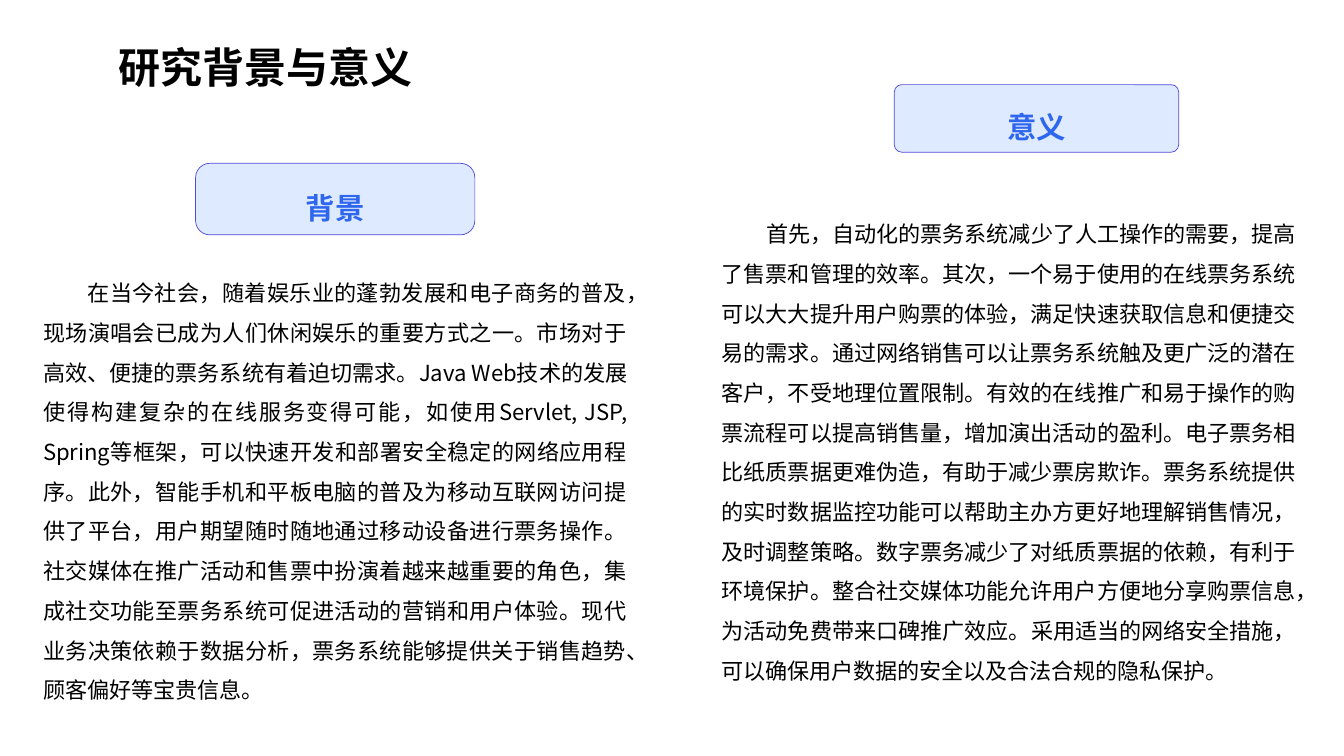
from dataclasses import dataclass

import pptx
import pptx.dml.color
import pptx.enum.shapes
import pptx.enum.text
import pptx.oxml.ns
import pptx.shapes.autoshape
import pptx.slide
import pptx.util
from pptx.util import Inches

RGBColor = pptx.dml.color.RGBColor
Align = pptx.enum.text.PP_ALIGN

BLACK = RGBColor(0x00, 0x00, 0x00)
BLUE = RGBColor(0x2F, 0x66, 0xEE)
PALE_BLUE = RGBColor(0xDE, 0xEA, 0xFF)
VIOLET = RGBColor(0x50, 0x49, 0xD5)
FONT = "Noto Sans CJK SC"


@dataclass
class Area:
    left: float
    top: float
    width: float
    height: float

    def lengths(self) -> tuple:
        return tuple(Inches(side) for side in (self.left, self.top, self.width, self.height))


@dataclass
class Section:
    heading: str
    badge: Area
    rounding: float
    body: str
    body_area: Area


SECTIONS = [
    Section(
        "背景", Area(1.94, 1.62, 2.77, 0.71), 0.2,
        "在当今社会，随着娱乐业的蓬勃发展和电子商务的普及，现场演唱会已成为人们休闲娱乐的重要方式之一。"
        "市场对于高效、便捷的票务系统有着迫切需求。Java Web技术的发展使得构建复杂的在线服务变得可能，"
        "如使用Servlet, JSP, Spring等框架，可以快速开发和部署安全稳定的网络应用程序。"
        "此外，智能手机和平板电脑的普及为移动互联网访问提供了平台，用户期望随时随地通过移动设备进行票务操作。"
        "社交媒体在推广活动和售票中扮演着越来越重要的角色，集成社交功能至票务系统可促进活动的营销和用户体验。"
        "现代业务决策依赖于数据分析，票务系统能够提供关于销售趋势、顾客偏好等宝贵信息。",
        Area(0.33, 2.57, 5.99, 4.48),
    ),
    Section(
        "意义", Area(8.87, 0.84, 2.82, 0.67), 0.109,
        "首先，自动化的票务系统减少了人工操作的需要，提高了售票和管理的效率。"
        "其次，一个易于使用的在线票务系统可以大大提升用户购票的体验，满足快速获取信息和便捷交易的需求。"
        "通过网络销售可以让票务系统触及更广泛的潜在客户，不受地理位置限制。"
        "有效的在线推广和易于操作的购票流程可以提高销售量，增加演出活动的盈利。"
        "电子票务相比纸质票据更难伪造，有助于减少票房欺诈。"
        "票务系统提供的实时数据监控功能可以帮助主办方更好地理解销售情况，及时调整策略。"
        "数字票务减少了对纸质票据的依赖，有利于环境保护。"
        "整合社交媒体功能允许用户方便地分享购票信息，为活动免费带来口碑推广效应。"
        "采用适当的网络安全措施，可以确保用户数据的安全以及合法合规的隐私保护。",
        Area(7.06, 1.78, 5.89, 5.28),
    ),
]


def write_text(box: pptx.shapes.autoshape.Shape, text: str, *, size: float,
               color: RGBColor = BLACK, bold: bool = False,
               align: Align = Align.LEFT, indent: float = 0) -> None:
    frame = box.text_frame
    frame.word_wrap = True
    frame.vertical_anchor = pptx.enum.text.MSO_ANCHOR.MIDDLE
    para = frame.paragraphs[0]
    para.alignment = align
    para.line_spacing = 1.5
    if indent:
        properties = para._p.get_or_add_pPr()
        properties.set("marL", "0")
        properties.set("indent", str(Inches(indent)))
    span = para.add_run()
    span.text = text
    span.font.name = FONT
    span.font.size = pptx.util.Pt(size)
    span.font.bold = bold
    span.font.color.rgb = color
    # Chinese characters take the East Asian typeface
    east_asian = span._r.get_or_add_rPr().makeelement(
        pptx.oxml.ns.qn("a:ea"), {"typeface": FONT})
    span.font._element.find(pptx.oxml.ns.qn("a:latin")).addnext(east_asian)


def add_section(page: pptx.slide.Slide, section: Section) -> None:
    # Body text
    body = page.shapes.add_textbox(*section.body_area.lengths())
    write_text(body, section.body, size=15.75, align=Align.JUSTIFY, indent=0.44)

    # Heading badge
    badge = page.shapes.add_shape(
        pptx.enum.shapes.MSO_SHAPE.ROUNDED_RECTANGLE, *section.badge.lengths())
    badge.adjustments[0] = section.rounding
    badge.shadow.inherit = False
    badge.fill.solid()
    badge.fill.fore_color.rgb = PALE_BLUE
    badge.line.color.rgb = VIOLET
    badge.line.width = pptx.util.Pt(0.5)
    write_text(badge, section.heading, size=21, color=BLUE, bold=True, align=Align.CENTER)


def main() -> None:
    deck = pptx.Presentation()
    deck.slide_width = Inches(13.33)
    deck.slide_height = Inches(7.5)
    page = deck.slides.add_slide(deck.slide_layouts[6])

    # Title
    title = page.shapes.add_textbox(*Area(1.08, 0.11, 10.25, 0.86).lengths())
    write_text(title, "研究背景与意义", size=30, bold=True)

    # Background and significance
    for section in SECTIONS:
        add_section(page, section)

    deck.save("out.pptx")


if __name__ == "__main__":
    main()
